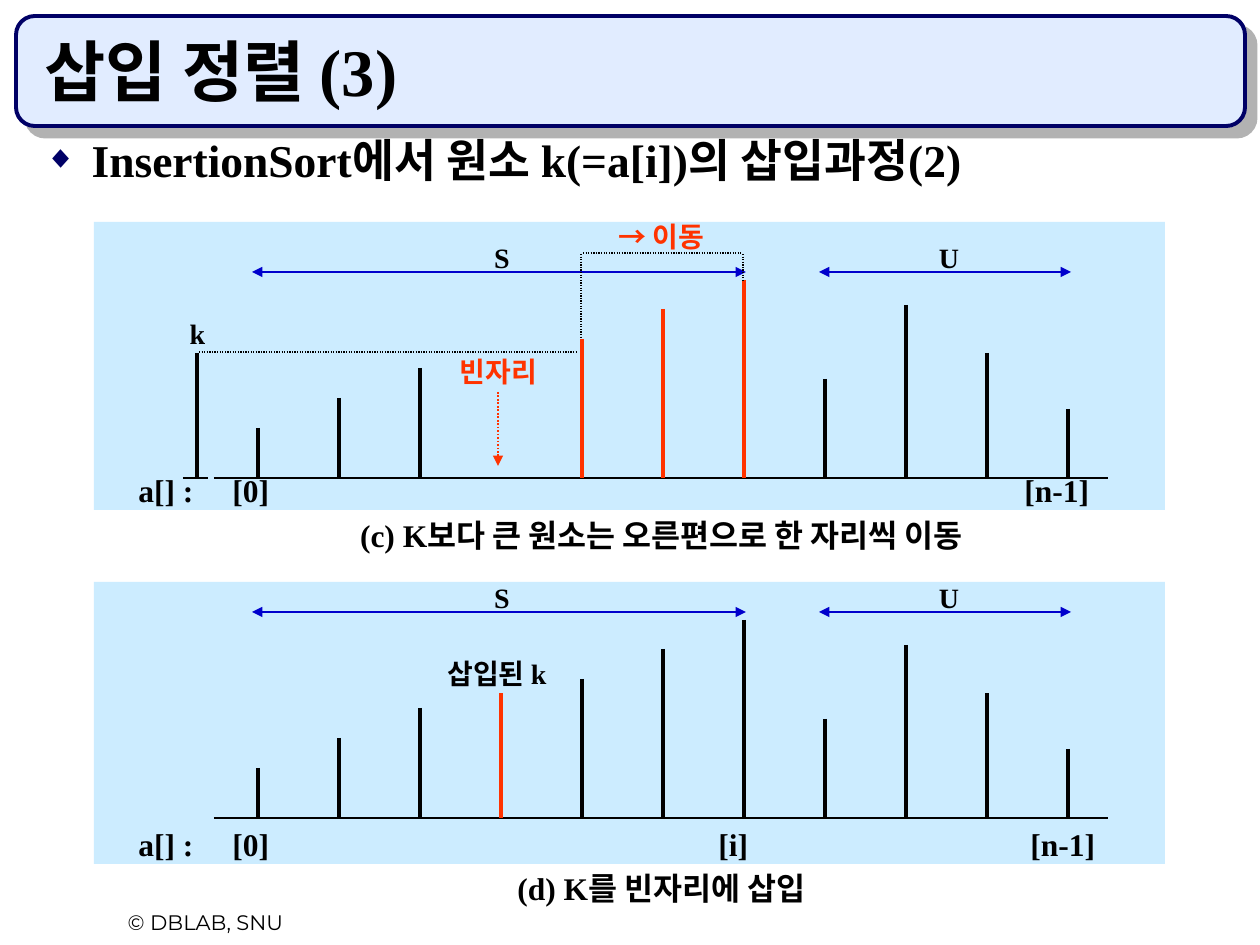
from lxml.etree import SubElement
from pptx import Presentation
from pptx.dml.color import RGBColor
from pptx.enum.dml import MSO_LINE
from pptx.enum.shapes import MSO_CONNECTOR, MSO_SHAPE
from pptx.enum.text import MSO_ANCHOR, MSO_AUTO_SIZE, PP_ALIGN
from pptx.oxml.ns import qn
from pptx.util import Emu, Pt

FONT = "Times New Roman"
BLACK, RED, NAVY, BLUE = "000000", "FF3300", "000066", "0000CC"
FIRST_X, STEP = 258, 81
HEIGHTS = [50, 80, 110, 125, 139, 169, 198, 99, 173, 125, 69]
GAP = 3


def px(n):
    """Turn pixels into EMU."""
    return Emu(round(n * 914400 / 126))


def color(hex_code):
    """Return the colour of a hex string."""
    return RGBColor.from_string(hex_code)


def add_xml(parent, tag, **attrs):
    """Append a DrawingML element with the given attributes."""
    return SubElement(parent, qn(tag), {k: str(v) for k, v in attrs.items()})


def style_text(p, size, hex_code=BLACK, font=FONT, bold=True):
    """Format all runs of a paragraph."""
    for r in p.runs:
        r.font.size = Pt(size)
        r.font.name = font
        r.font.bold = bold
        r.font.color.rgb = color(hex_code)


def add_label(s, text, box, size=16, hex_code=BLACK, align=PP_ALIGN.CENTER,
              tabs=(), **style):
    """Add a one-line text box, with optional tab stops."""
    tb = s.shapes.add_textbox(*map(px, box))
    tf = tb.text_frame
    tf.word_wrap = True
    tf.auto_size = MSO_AUTO_SIZE.SHAPE_TO_FIT_TEXT
    p = tf.paragraphs[0]
    p.text = text
    p.alignment = align
    if tabs:
        tab_list = add_xml(p._p.get_or_add_pPr(), "a:tabLst")
        for stop in tabs:
            add_xml(tab_list, "a:tab", pos=px(stop), algn="l")
    style_text(p, size, hex_code, **style)


def add_line(s, x1, y1, x2, y2, hex_code=BLACK, width=0.75, dotted=False,
             head=False, tail=False):
    """Add a straight line with optional dots and arrowheads."""
    c = s.shapes.add_connector(MSO_CONNECTOR.STRAIGHT, *map(px, (x1, y1, x2, y2)))
    c.line.color.rgb = color(hex_code)
    c.line.width = Pt(width)
    if dotted:
        c.line.dash_style = MSO_LINE.ROUND_DOT
    ln = c.line._get_or_add_ln()
    if head:
        add_xml(ln, "a:headEnd", type="triangle")
    if tail:
        add_xml(ln, "a:tailEnd", type="triangle")
    add_xml(c._element.spPr, "a:effectLst")


def add_panel(s, box):
    """Add a pale blue background rectangle."""
    sp = s.shapes.add_shape(MSO_SHAPE.RECTANGLE, *map(px, box))
    sp.shadow.inherit = False
    sp.fill.solid()
    sp.fill.fore_color.rgb = color("CCECFF")
    sp.line.fill.background()


def add_header_bar(s):
    """Add the rounded title bar with its grey shadow."""
    sp = s.shapes.add_shape(MSO_SHAPE.ROUNDED_RECTANGLE, *map(px, (16, 16, 1229, 110)))
    sp.adjustments[0] = 0.17
    sp.fill.solid()
    sp.fill.fore_color.rgb = color("E1ECFF")
    sp.line.color.rgb = color(NAVY)
    sp.line.width = Pt(2.25)
    effects = add_xml(sp._element.spPr, "a:effectLst")
    shadow = add_xml(effects, "a:outerShdw", dist=Pt(8.5), dir=2700000,
                     algn="ctr", rotWithShape=0)
    add_xml(shadow, "a:srgbClr", val="B2B2B2")


def fill_placeholder(s, sp, text, box, size, anchor):
    """Move a placeholder to the front, then fill and format it."""
    s.shapes.element.append(sp.element)
    sp.left, sp.top, sp.width, sp.height = map(px, box)
    tf = sp.text_frame
    tf.text = text
    tf.auto_size = MSO_AUTO_SIZE.NONE
    tf.vertical_anchor = anchor
    p = tf.paragraphs[0]
    p.alignment = PP_ALIGN.LEFT
    p.space_before = Pt(0)
    style_text(p, size)
    return p


def add_bullet(p):
    """Give a paragraph a navy diamond bullet with a hanging indent."""
    p.line_spacing = 0.8
    pPr = p._p.get_or_add_pPr()
    pPr.set("marL", str(px(47)))
    pPr.set("indent", str(-px(47)))
    add_xml(add_xml(pPr, "a:buClr"), "a:srgbClr", val=NAVY)
    add_xml(pPr, "a:buSzPct", val=70000)
    add_xml(pPr, "a:buChar", char="◆")


def draw_array(s, base, bar_colors):
    """Draw the base line, the bars and the S and U ranges of an array."""
    add_line(s, 214, base, 1108, base)
    for i, height in enumerate(HEIGHTS):
        if i in bar_colors:
            x = FIRST_X + STEP * i
            add_line(s, x, base - height, x, base, bar_colors[i], 2.25)
    for name, x1, x2, left, width in (("S", 252, 746, 455, 94),
                                      ("U", 819, 1071, 920, 58)):
        add_line(s, x1, base - 206, x2, base - 206, BLUE, head=True, tail=True)
        add_label(s, name, (left, base - 244, width, 47))


def add_index_row(s, text, top, tabs):
    """Add the row of array indices, spread by tab stops."""
    add_label(s, text, (126, top, 1081, 50), 18, align=PP_ALIGN.LEFT, tabs=tabs)


def add_caption(s, text, top):
    """Add a centred caption below a panel."""
    add_label(s, text, (189, top, 945, 50), 18)


def draw_shift_step(s, base):
    """Draw step (c): larger elements move one place to the right."""
    draw_array(s, base, {i: RED if GAP < i < 7 else BLACK
                         for i in range(len(HEIGHTS)) if i != GAP})
    add_line(s, 197, base - 125, 197, base, width=2.25)
    add_line(s, 183, base, 208, base)
    add_line(s, 199, 352, 576, 352, dotted=True)
    for x, bottom in ((581, 339), (743, 280)):
        add_line(s, x, 254, x, bottom, dotted=True)
    add_line(s, 583, 253, 741, 253, dotted=True)
    add_line(s, 498, 392, 498, 466, RED, 1, dotted=True, tail=True)
    add_label(s, "k", (136, 310, 123, 47))
    add_label(s, "빈자리", (437, 348, 123, 47), hex_code=RED)
    add_label(s, "→ 이동", (588, 213, 147, 47), hex_code=RED)
    add_index_row(s, "a[] :\t[0]\t[n-1]", 465, (94, 886))
    add_caption(s, "(c) K보다 큰 원소는 오른편으로 한 자리씩 이동", 510)


def draw_insert_step(s, base):
    """Draw step (d): k is put into the gap."""
    draw_array(s, base, {i: RED if i == GAP else BLACK for i in range(len(HEIGHTS))})
    add_label(s, "삽입된 k", (420, 650, 154, 47))
    add_index_row(s, "a[] :\t[0]\t[i]\t[n-1]", 819, (94, 580, 892))
    add_caption(s, "(d) K를 빈자리에 삽입", 863)


def main():
    """Build the slide and save it."""
    prs = Presentation()
    prs.slide_width, prs.slide_height = px(1260), px(945)
    s = prs.slides.add_slide(prs.slide_layouts[1])
    title, body = s.placeholders
    add_header_bar(s)
    add_label(s, "© DBLAB, SNU", (53, 903, 305, 38), 12, font="Montserrat", bold=False)
    add_panel(s, (94, 582, 1071, 282))
    add_panel(s, (94, 222, 1071, 288))
    fill_placeholder(s, title, "삽입 정렬 (3)", (32, 32, 1187, 84), 38, MSO_ANCHOR.BOTTOM)
    p = fill_placeholder(s, body, "InsertionSort에서 원소 k(=a[i])의 삽입과정(2)",
                         (32, 136, 1187, 735), 26, MSO_ANCHOR.TOP)
    add_bullet(p)
    draw_insert_step(s, 818)
    draw_shift_step(s, 478)
    prs.save("out.pptx")


if __name__ == "__main__":
    main()
